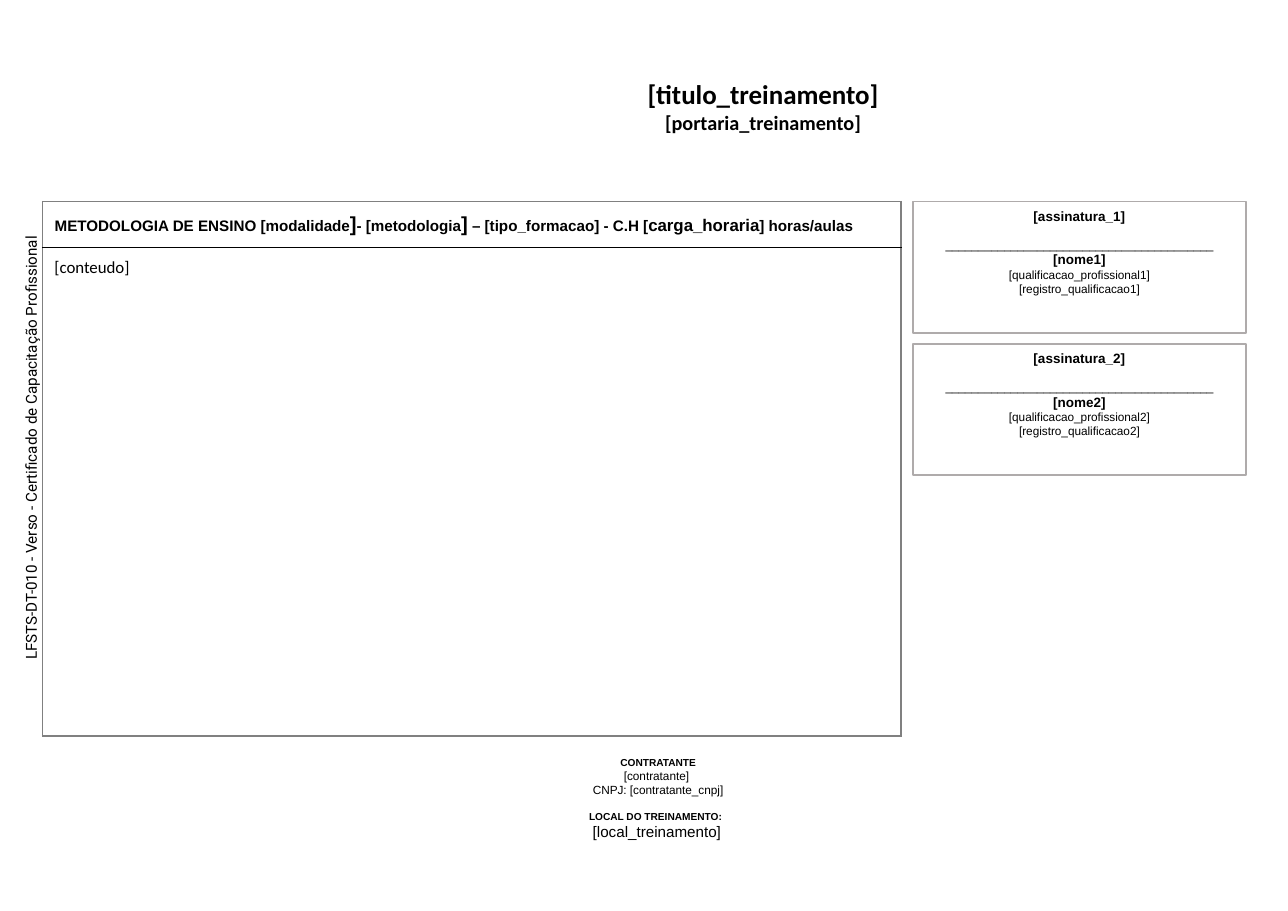
from lxml.etree import SubElement
from pptx import Presentation
from pptx.dml.color import RGBColor
from pptx.enum.shapes import MSO_SHAPE
from pptx.enum.text import MSO_ANCHOR, MSO_AUTO_SIZE, PP_ALIGN
from pptx.oxml.ns import qn
from pptx.util import Inches, Pt

BLACK = RGBColor(0x00, 0x00, 0x00)
GRAY = RGBColor(0x80, 0x80, 0x80)
LIGHT_GRAY = RGBColor(0xAF, 0xAB, 0xAB)


def write_lines(frame, lines, font_name="Arial", align=PP_ALIGN.CENTER):
    frame.word_wrap = True
    frame.auto_size = MSO_AUTO_SIZE.NONE
    frame.vertical_anchor = MSO_ANCHOR.TOP
    frame.margin_left = frame.margin_right = Inches(0.1)
    frame.margin_top = frame.margin_bottom = Inches(0.05)
    for index, (text, size, bold) in enumerate(lines):
        paragraph = frame.add_paragraph() if index else frame.paragraphs[0]
        paragraph.text = text
        paragraph.alignment = align
        paragraph.font.name = font_name
        paragraph.font.size = Pt(size)
        paragraph.font.bold = bold
        paragraph.font.color.rgb = BLACK


def set_borders(cell, colors):
    properties = cell._tc.get_or_add_tcPr()
    for index, (side, color) in enumerate(colors.items()):
        line = SubElement(properties, qn(f"a:ln{side}"), w=str(Pt(0.96)))
        fill = SubElement(line, qn("a:solidFill"))
        SubElement(fill, qn("a:srgbClr"), val=str(color))
        properties.insert(index, line)


presentation = Presentation()
presentation.slide_width = Pt(763.75)
presentation.slide_height = Inches(7.5)
presentation.element.sldSz.attrib.pop("type", None)
slide = presentation.slides.add_slide(presentation.slide_layouts[5])

title = slide.shapes.title
title.left, title.top = Inches(2.48), Inches(0.59)
title.width, title.height = Inches(7.61), Inches(0.57)
write_lines(title.text_frame, [
    ("[titulo_treinamento]", 16, True),
    ("[portaria_treinamento]", 12, True),
], "Calibri")

table_shape = slide.shapes.add_table(
    2, 1, Inches(0.35), Inches(1.66), Inches(7.07), Inches(4.4))
table = table_shape.table
table.first_row = False
table.horz_banding = False
table.rows[0].height = Inches(0.38)
table.rows[1].height = Inches(4.02)
header, content = table.cell(0, 0), table.cell(1, 0)
for cell, top, bottom in [(header, GRAY, BLACK), (content, BLACK, GRAY)]:
    cell.fill.background()
    set_borders(cell, {"L": GRAY, "R": GRAY, "T": top, "B": bottom})

header.vertical_anchor = MSO_ANCHOR.MIDDLE
paragraph = header.text_frame.paragraphs[0]
paragraph.font.name = "Arial"
paragraph.font.bold = True
paragraph.font.color.rgb = BLACK
for text, size in [
    ("METODOLOGIA DE ENSINO [modalidade", 9),
    ("]", 12),
    ("- [metodologia", 9),
    ("]", 12),
    (" – [tipo_formacao] - C.H [", 9),
    ("carga_horaria", 10),
    ("] horas/aulas", 9),
]:
    run = paragraph.add_run()
    run.text = text
    run.font.size = Pt(size)

for number, top in [(1, 1.66), (2, 2.83)]:
    signature = slide.shapes.add_shape(
        MSO_SHAPE.RECTANGLE, Inches(7.52), Inches(top), Inches(2.74), Inches(1.08))
    signature.shadow.inherit = False
    signature.fill.background()
    signature.line.color.rgb = LIGHT_GRAY
    signature.line.width = Pt(1)
    write_lines(signature.text_frame, [
        (f"[assinatura_{number}]", 8, True),
        ("_" * 41, 7, False),
        (f"[nome{number}]", 8, True),
        (f"[qualificacao_profissional{number}]", 7, False),
        (f"[registro_qualificacao{number}]", 7, False),
    ])
    signature.text_frame.paragraphs[1].space_before = Pt(8)

for left, top, width, height, rotation, font_name, align, lines in [
    (-1.93, 3.22, 4.37, 0.25, 270, "Roboto", PP_ALIGN.LEFT, [
        ("LFSTS-DT-010 - Verso - Certificado de Capacitação Profissional", 9, False)]),
    (0.35, 2.06, 7.07, 4.02, 0, "Calibri", PP_ALIGN.LEFT, [
        ("[conteudo]", 10, False)]),
    (2.92, 6.18, 5, 0.44, 0, "Arial", PP_ALIGN.CENTER, [
        ("CONTRATANTE", 6, True),
        ("[contratante] ", 7, False),
        ("CNPJ: [contratante_cnpj]", 7, False)]),
    (2.91, 6.62, 5, 0.35, 0, "Arial", PP_ALIGN.CENTER, [
        ("LOCAL DO TREINAMENTO: ", 6, True),
        ("[local_treinamento]", 9, False)]),
]:
    text_box = slide.shapes.add_textbox(
        Inches(left), Inches(top), Inches(width), Inches(height))
    text_box.rotation = rotation
    write_lines(text_box.text_frame, lines, font_name, align)

presentation.save("out.pptx")
